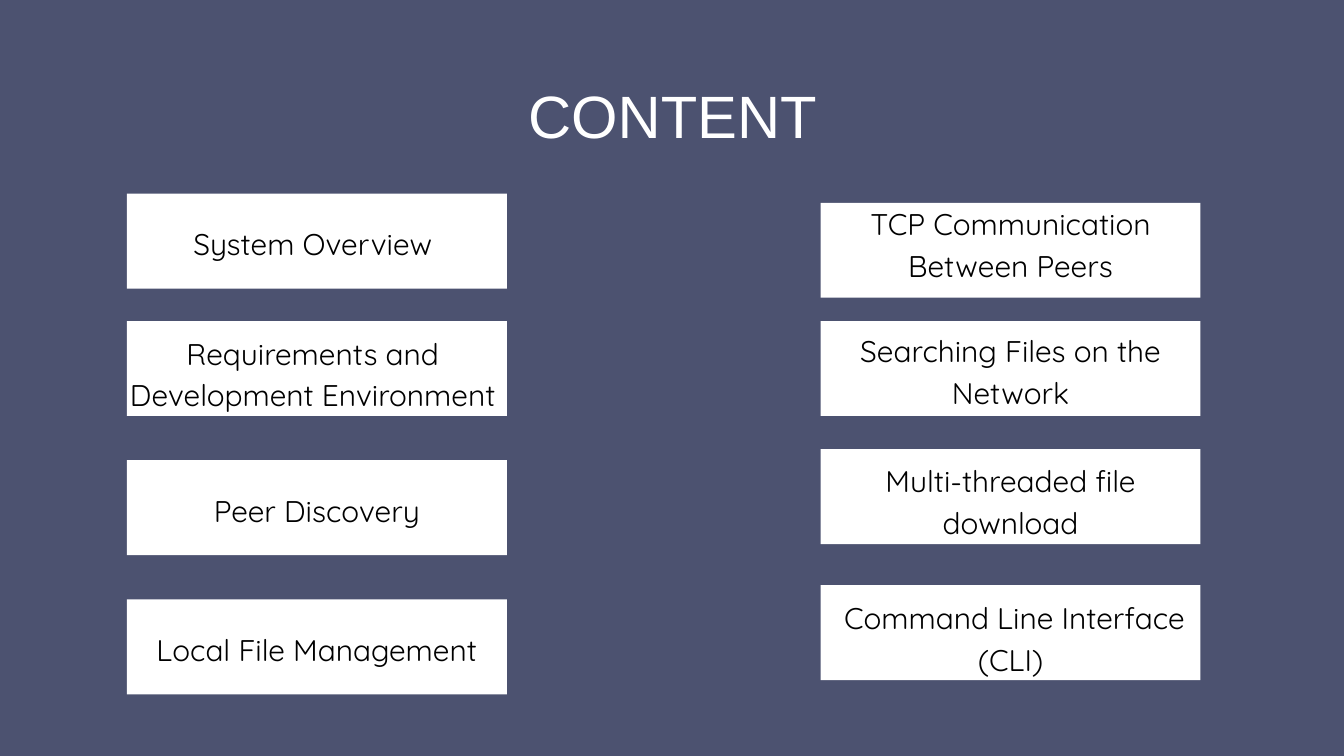
from pptx import Presentation
from pptx.dml.color import RGBColor
from pptx.enum.shapes import MSO_SHAPE
from pptx.enum.text import MSO_AUTO_SIZE, PP_ALIGN
from pptx.util import Pt

RECTANGLE = MSO_SHAPE.RECTANGLE
CENTER = PP_ALIGN.CENTER
GROW = MSO_AUTO_SIZE.SHAPE_TO_FIT_TEXT

SLATE = RGBColor(0x4C, 0x52, 0x70)
WHITE = RGBColor(0xFF, 0xFF, 0xFF)
BLACK = RGBColor(0x00, 0x00, 0x00)

TITLE_FONT = {"name": "Arial", "size": Pt(64)}
TOPIC_FONT = {"name": "Quicksand", "size": Pt(32)}
FRAME_FORMAT = {
    "margin_left": 0, "margin_top": 0, "margin_right": 0, "margin_bottom": 0,
    "word_wrap": True, "auto_size": GROW,
}

CARD_WIDTH, CARD_HEIGHT = 407, 101.7
LEFT_COLUMN, RIGHT_COLUMN = 136, 879.3
LEADING = 44.8

# Card top, label offset (x, y) from the card, label width, line spacing, label
LEFT_TOPICS = [
    (207.5, (50.5, 25), 297.4, 48, "System Overview"),
    (344, (-25.1, 8.8), 448.6, LEADING, "Requirements and Development Environment"),
    (493, (0, 28), CARD_WIDTH, LEADING, "Peer Discovery"),
    (642.3, (0, 28), CARD_WIDTH, LEADING, "Local File Management"),
]
RIGHT_TOPICS = [
    (217.3, (0, -3.5), CARD_WIDTH, LEADING, "TCP Communication Between Peers"),
    (344, (0, 6.5), CARD_WIDTH, LEADING, "Searching Files on the Network"),
    (481.2, (0, 8.5), CARD_WIDTH, LEADING, "Multi-threaded file\ndownload"),
    (627, (0, 9.4), CARD_WIDTH, LEADING, " Command Line Interface (CLI)"),
]


def set_attributes(target, values):
    for name, value in values.items():
        setattr(target, name, value)


def add_label(slide, box, text, font, color, line_spacing):
    """Add centred text to a (left, top, width, height) box, a paragraph per line."""
    frame = slide.shapes.add_textbox(*map(Pt, box)).text_frame
    set_attributes(frame, FRAME_FORMAT)
    frame.text = text
    for paragraph in frame.paragraphs:
        set_attributes(paragraph, {"alignment": CENTER, "line_spacing": Pt(line_spacing)})
        run = paragraph.runs[0]
        set_attributes(run.font, font)
        run.font.color.rgb = color


def add_card(slide, box):
    card = slide.shapes.add_shape(RECTANGLE, *map(Pt, box))
    card.shadow.inherit = False
    card.fill.solid()
    card.fill.fore_color.rgb = WHITE
    card.line.fill.background()


def add_topic_column(slide, left, topics):
    for top, (shift_x, shift_y), width, line_spacing, text in topics:
        add_card(slide, (left, top, CARD_WIDTH, CARD_HEIGHT))
        height = line_spacing if width < CARD_WIDTH or shift_y > 20 else 2 * line_spacing
        add_label(slide, (left + shift_x, top + shift_y, width, height),
                  text, TOPIC_FONT, BLACK, line_spacing)


def main():
    presentation = Presentation()
    presentation.slide_width = Pt(1440)
    presentation.slide_height = Pt(810)
    slide = presentation.slides.add_slide(presentation.slide_layouts[6])
    slide.background.fill.solid()
    slide.background.fill.fore_color.rgb = SLATE
    add_label(slide, (110.9, 72, 1219, 85.7), "CONTENT", TITLE_FONT, WHITE, 89.6)
    add_topic_column(slide, LEFT_COLUMN, LEFT_TOPICS)
    add_topic_column(slide, RIGHT_COLUMN, RIGHT_TOPICS)
    presentation.save("out.pptx")


if __name__ == "__main__":
    main()
